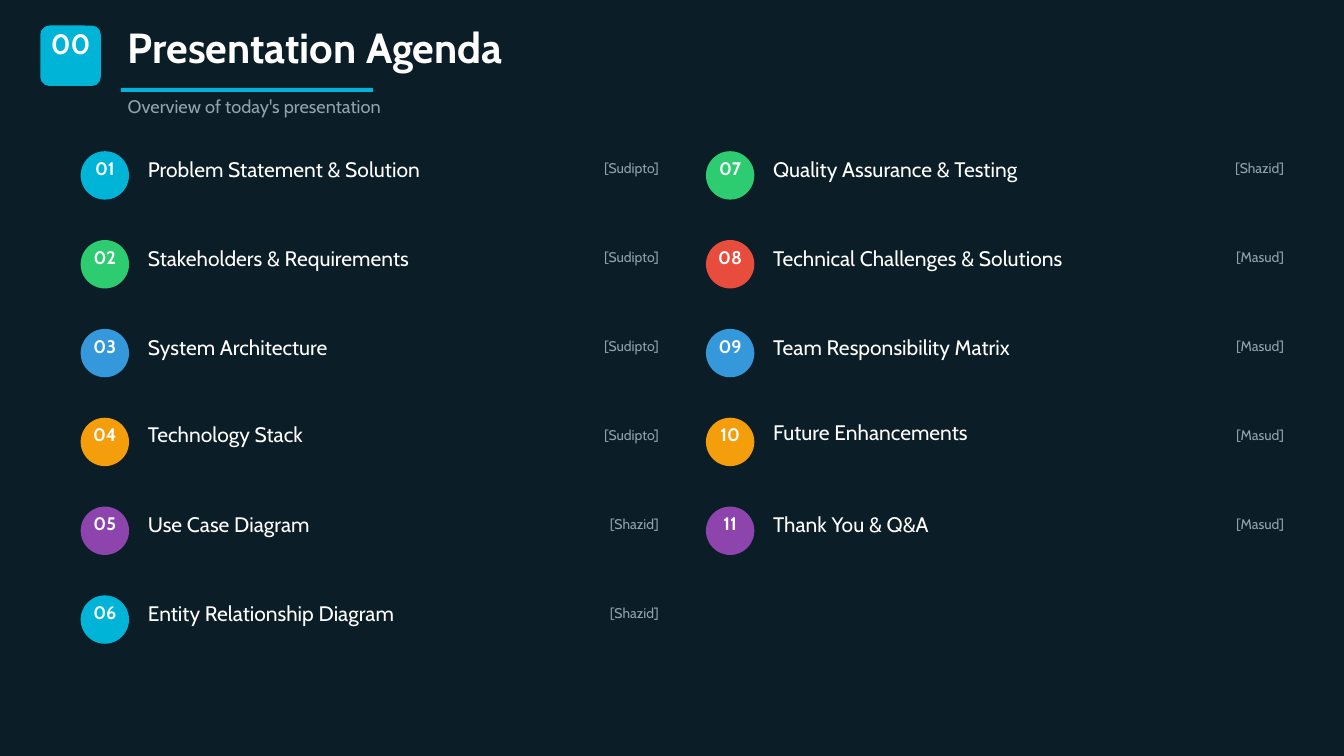
from collections import namedtuple

from pptx import Presentation
from pptx.dml.color import RGBColor
from pptx.enum.shapes import MSO_SHAPE
from pptx.enum.text import MSO_ANCHOR, MSO_AUTO_SIZE, PP_ALIGN
from pptx.util import Inches, Pt

# The grid: 200 columns by 112.5 rows of square cells
COLS, ROWS = 200, 112.5
CELL = Inches(0.1)

Box = namedtuple("Box", "x y w h")
Item = namedtuple("Item", "name who nudge", defaults=(0,))

THEME = {
    "font": "Cabin",
    "back": "0B1D26",
    "text": "FFFFFF",
    "muted": "90A4AE",
    "cyan": "00B4D8",
    "green": "2ECC71",
    "blue": "3498DB",
    "amber": "F59E0B",
    "purple": "8E44AD",
    "red": "E74C3C",
    "title": 45,
    "badge": 30,
    "topic": 22.5,
    "small": 19.5,
    "who": 15,
}
LEADING = 1.2

LEFT = [
    Item("Problem Statement & Solution", "Sudipto"),
    Item("Stakeholders & Requirements", "Sudipto"),
    Item("System Architecture", "Sudipto"),
    Item("Technology Stack", "Sudipto", -0.3),
    Item("Use Case Diagram", "Shazid"),
    Item("Entity Relationship Diagram", "Shazid"),
]
RIGHT = [
    Item("Quality Assurance & Testing", "Shazid"),
    Item("Technical Challenges & Solutions", "Masud"),
    Item("Team Responsibility Matrix", "Masud"),
    Item("Future Enhancements", "Masud", -0.5),
    Item("Thank You & Q&A", "Masud"),
]
LEFT_HUES = ["cyan", "green", "blue", "amber", "purple", "cyan"]
RIGHT_HUES = ["green", "red", "blue", "amber", "purple"]


def color(key):
    return RGBColor.from_string(THEME[key])


def emu(box):
    return [round(v * CELL) for v in box]


def inner(box, x, y, w, h):
    """A box placed from the top left corner of another."""
    return Box(box.x + x, box.y + y, w, h)


def apply(target, values):
    for key, value in values.items():
        setattr(target, key, value)


def write(shape, text, size, hue="text", bold=False, align=PP_ALIGN.LEFT):
    frame = shape.text_frame
    apply(frame, {
        "margin_left": 0, "margin_top": 0, "margin_right": 0, "margin_bottom": 0,
        "word_wrap": True, "auto_size": MSO_AUTO_SIZE.NONE,
        "vertical_anchor": MSO_ANCHOR.TOP,
    })
    par = frame.paragraphs[0]
    apply(par, {"alignment": align, "line_spacing": Pt(THEME[size] * LEADING)})
    run = par.add_run()
    run.text = text
    apply(run.font, {"name": THEME["font"], "size": Pt(THEME[size]), "bold": bold})
    run.font.color.rgb = color(hue)


def label(slide, box, *args, **style):
    write(slide.shapes.add_textbox(*emu(box)), *args, **style)


def block(slide, kind, box, hue):
    shape = slide.shapes.add_shape(kind, *emu(box))
    shape.shadow.inherit = False
    shape.fill.solid()
    shape.fill.fore_color.rgb = color(hue)
    shape.line.fill.background()
    return shape


def header(slide, box):
    # Number badge
    badge = block(slide, MSO_SHAPE.ROUNDED_RECTANGLE, inner(box, 0, 0, 9, 9), "cyan")
    badge.adjustments[0] = 0.15
    label(slide, inner(box, 1, 0.2, 7, 8), "00", "badge",
          bold=True, align=PP_ALIGN.CENTER)

    # Title, rule and subtitle
    wide = box.w - 13
    title = slide.shapes.title
    apply(title, dict(zip(("left", "top", "width", "height"),
                          emu(inner(box, 13, -0.6, wide, 8.3)))))
    write(title, "Presentation Agenda", "title", bold=True)
    block(slide, MSO_SHAPE.RECTANGLE, inner(box, 12, 9.3, 37.5, 0.6), "cyan")
    label(slide, inner(box, 13, 10.4, wide, 4.8),
          "Overview of today's presentation", "small", "muted")


def entry(slide, box, num, item, hue):
    # Numbered disc
    block(slide, MSO_SHAPE.OVAL, inner(box, 0, 0, 7.2, 7.2), hue)
    label(slide, inner(box, 1, 0.9, 5.2, 4.8), f"{num:02}", "small",
          bold=True, align=PP_ALIGN.CENTER)

    # Topic and speaker
    label(slide, inner(box, 10, 0.8 + item.nudge, 58, 4.9), item.name, "topic")
    label(slide, inner(box, box.w - 16, 1.3, 16, 3.9), f"[{item.who}]", "who",
          "muted", align=PP_ALIGN.RIGHT)


def column(slide, box, first, items, hues):
    step = box.h / 6
    for i, (item, hue) in enumerate(zip(items, hues)):
        entry(slide, inner(box, 0, i * step, box.w, step), first + i, item, hue)


def main():
    deck = Presentation()
    apply(deck, {"slide_width": round(COLS * CELL),
                 "slide_height": round(ROWS * CELL)})
    slide = deck.slides.add_slide(deck.slide_layouts[5])
    slide.background.fill.solid()
    slide.background.fill.fore_color.rgb = color("back")

    header(slide, Box(6, 3.8, 161, 15.2))

    # Two agenda columns of six rows
    area = Box(12, 22.5, 179.1, 79.32)
    gap = 7
    wide = (area.w - gap) / 2
    column(slide, inner(area, 0, 0, wide, area.h), 1, LEFT, LEFT_HUES)
    column(slide, inner(area, wide + gap, 0, wide, area.h),
           len(LEFT) + 1, RIGHT, RIGHT_HUES)

    deck.save("out.pptx")


if __name__ == "__main__":
    main()
